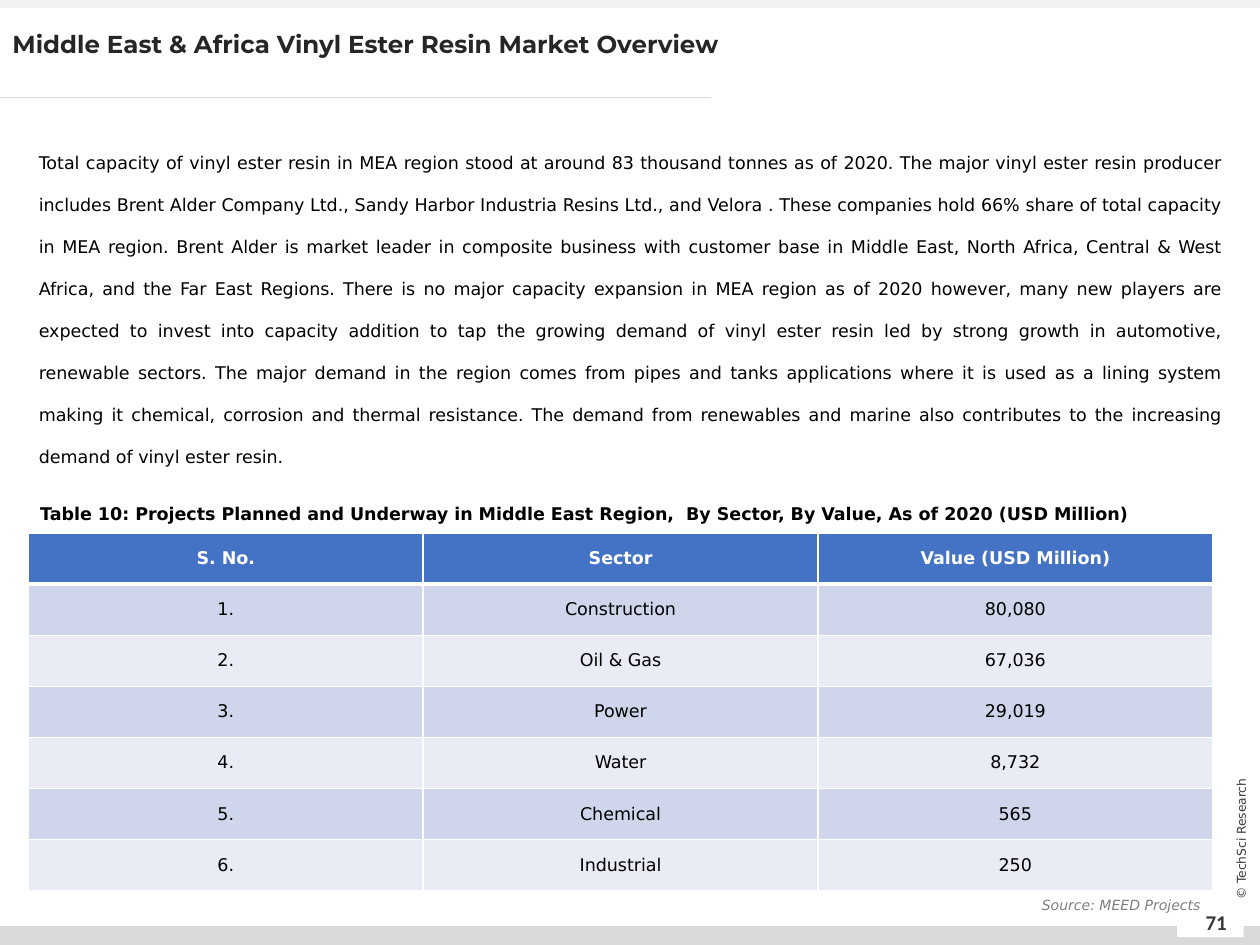
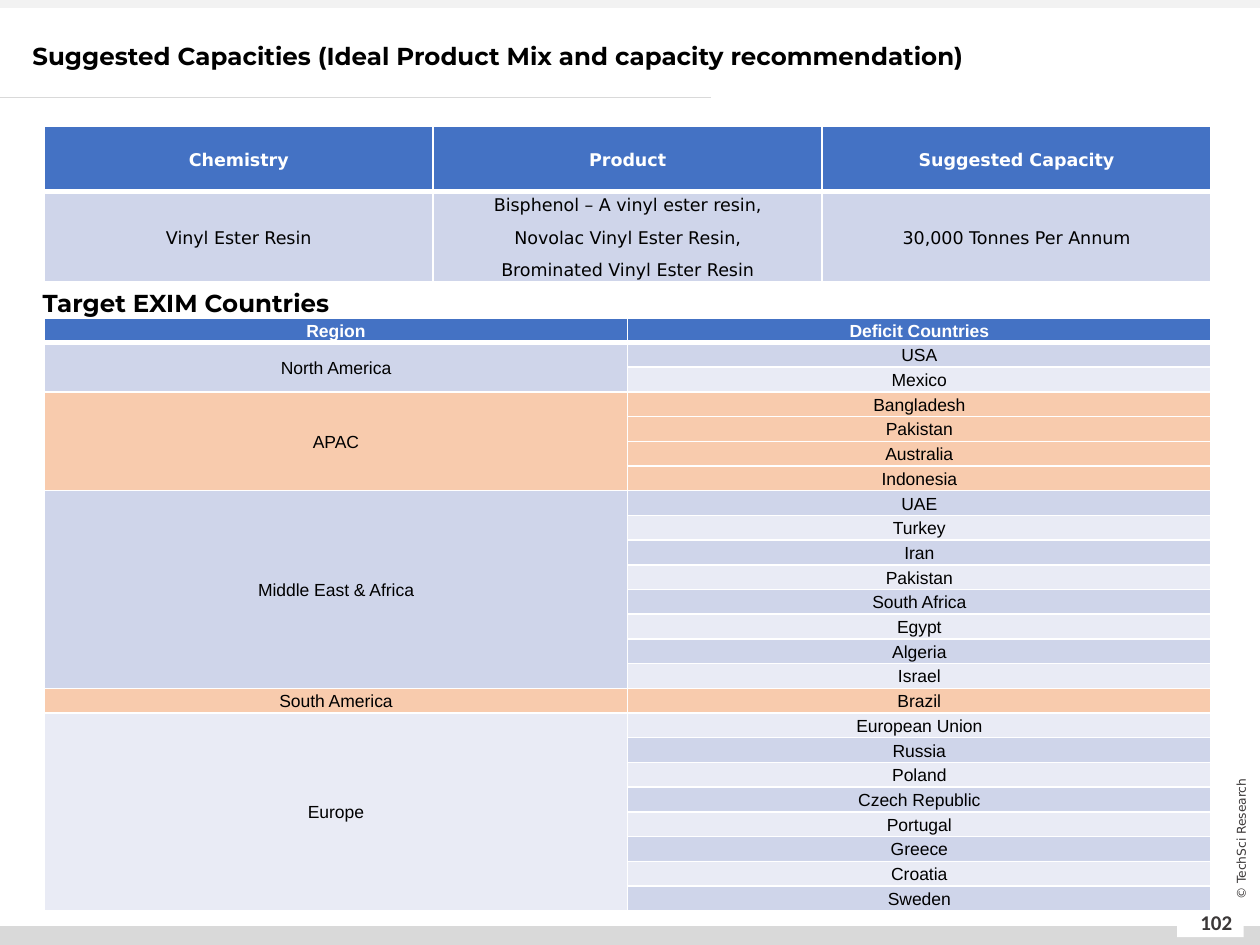
from lxml import etree
from pptx import Presentation
from pptx.dml.color import RGBColor
from pptx.enum.shapes import MSO_CONNECTOR as Connector, MSO_SHAPE as Shape
from pptx.enum.text import MSO_ANCHOR as Anchor, PP_ALIGN as Align
from pptx.oxml.ns import qn
from pptx.util import Pt

BLUE, BAND, PALE, PEACH = "4472C4", "CFD5EA", "E9EBF5", "F8CBAD"
WHITE, BLACK, RULE, FOOTER = "FFFFFF", "000000", "D9D9D9", "3B3838"
SANS, HEADING = "DejaVu Sans", "Montserrat"


def add_label(page, text, left, top, width, height, size=10, font=SANS, color=BLACK,
              bold=False, italic=False, align=Align.LEFT, anchor=Anchor.TOP, spacing=1.0):
    box = page.shapes.add_textbox(Pt(left), Pt(top), Pt(width), Pt(height))
    frame = box.text_frame
    frame.word_wrap = True
    frame.vertical_anchor = anchor
    frame.text = text
    para = frame.paragraphs[0]
    para.alignment = align
    para.line_spacing = spacing
    span = para.runs[0]
    span.font.name, span.font.size = font, Pt(size)
    span.font.bold, span.font.italic = bold, italic
    span.font.color.rgb = RGBColor.from_string(color)
    return box


def add_grid(page, rows, left, top, width, heights, font=SANS, compact=True, accents=()):
    columns = len(rows[0])
    table = page.shapes.add_table(len(rows), columns, Pt(left), Pt(top),
                                  Pt(width), Pt(sum(heights))).table
    table.first_row = table.horz_banding = False
    for column in table.columns:
        column.width = Pt(width / columns)
    for index, texts in enumerate(rows):
        table.rows[index].height = Pt(heights[index])
        header = index == 0
        fill = BLUE if header else PEACH if index in accents else BAND if index % 2 else PALE
        for number, text in enumerate(texts):
            cell = table.cell(index, number)
            cell.vertical_anchor = Anchor.MIDDLE
            if compact:
                cell.margin_left = cell.margin_right = Pt(5)
                cell.margin_top = cell.margin_bottom = 0
            properties = cell._tc.get_or_add_tcPr()
            for side in ("lnL", "lnR", "lnT", "lnB"):
                thick = (side == "lnB" and index == 0) or (side == "lnT" and index == 1)
                border = etree.SubElement(properties, qn(f"a:{side}"), w=str(Pt(3 if thick else 1)))
                paint = etree.SubElement(border, qn("a:solidFill"))
                etree.SubElement(paint, qn("a:srgbClr"), val=WHITE)
            cell.fill.solid()
            cell.fill.fore_color.rgb = RGBColor.from_string(fill)
            cell.text_frame.text = text
            for para in cell.text_frame.paragraphs:
                para.alignment = Align.CENTER
                if compact:
                    para.line_spacing, para.space_after = 1.1, Pt(6)
                for span in para.runs:
                    span.font.name, span.font.size, span.font.bold = font, Pt(10), header
                    span.font.color.rgb = RGBColor.from_string(WHITE if header else BLACK)
    return table


deck = Presentation()
deck.slide_width, deck.slide_height = Pt(720), Pt(540)

bands = [(0, 529.2, 720, 10.8, RULE), (0, 0, 720, 4.5, "F2F2F2"), (672.7, 520, 38, 15.6, WHITE)]
pages = []
for page_number in ("71", "102"):
    page = deck.slides.add_slide(deck.slide_layouts[6])
    pages.append(page)
    for left, top, width, height, color in bands:
        band = page.shapes.add_shape(Shape.RECTANGLE, Pt(left), Pt(top), Pt(width), Pt(height))
        band.shadow.inherit = False
        band.fill.solid()
        band.fill.fore_color.rgb = RGBColor.from_string(color)
        band.line.fill.background()
    add_label(page, page_number, 677.5, 512.8, 35, 28.8, 12, "Calibri", FOOTER, bold=True,
              align=Align.CENTER, anchor=Anchor.MIDDLE)
    rights = add_label(page, "© TechSci Research", 666, 473.8, 86.4, 11.5, 7, color=FOOTER,
                       align=Align.CENTER, anchor=Anchor.MIDDLE)
    rights.rotation = 270
    rule = page.shapes.add_connector(Connector.STRAIGHT, 0, Pt(55.5), Pt(406.5), Pt(55.5))
    rule.line.color.rgb = RGBColor.from_string(RULE)
    rule.line.width = Pt(0.5)
    etree.SubElement(rule._element.spPr, qn("a:effectLst"))

overview, capacities = pages

add_label(overview, "Middle East & Africa Vinyl Ester Resin Market Overview", 0, 15.1, 481, 36,
          14, HEADING, "262626", bold=True, spacing=0.9)
sentences = [
    "Total capacity of vinyl ester resin in MEA region stood at around 83 thousand tonnes as of "
    "2020.",
    "The major vinyl ester resin producer includes Brent Alder Company Ltd., Sandy Harbor "
    "Industria Resins Ltd., and Velora .",
    "These companies hold 66% share of total capacity in MEA region.",
    "Brent Alder is market leader in composite business with customer base in Middle East, "
    "North Africa, Central & West Africa, and the Far East Regions.",
    "There is no major capacity expansion in MEA region as of 2020 however, many new players are "
    "expected to invest into capacity addition to tap the growing demand of vinyl ester resin led "
    "by strong growth in automotive, renewable sectors.",
    "The major demand in the region comes from pipes and tanks applications where it is used as a "
    "lining system making it chemical, corrosion and thermal resistance.",
    "The demand from renewables and marine also contributes to the increasing demand of vinyl "
    "ester resin."]
add_label(overview, " ".join(sentences), 15.1, 71.3, 689.8, 197.3, align=Align.JUSTIFY, spacing=2.0)
add_label(overview, "Table 10: Projects Planned and Underway in Middle East Region,  By Sector, "
          "By Value, As of 2020 (USD Million)", 15.9, 277.9, 655, 23, bold=True, spacing=1.5)
add_label(overview, "Source: MEED Projects", 496, 509, 197.3, 17.3, 8, color="7F7F7F",
          italic=True, align=Align.RIGHT)

sectors = [("Construction", "80,080"), ("Oil & Gas", "67,036"), ("Power", "29,019"),
           ("Water", "8,732"), ("Chemical", "565"), ("Industrial", "250")]
projects = [("S. No.", "Sector", "Value (USD Million)")]
projects += [(f"{number}.", *sector) for number, sector in enumerate(sectors, 1)]
add_grid(overview, projects, 16.2, 304.6, 676.8, [29.2] * len(projects), compact=False)

for heading, left, top in (
        ("Suggested Capacities (Ideal Product Mix and capacity recommendation)", 11.5, 19.6),
        ("Target EXIM Countries", 17.3, 160.6)):
    add_label(capacities, heading, left, top, 702.7, 24, 14, HEADING, bold=True,
              anchor=Anchor.MIDDLE, spacing=Pt(17))

product_mix = [
    ("Chemistry", "Product", "Suggested Capacity"),
    ("Vinyl Ester Resin",
     "Bisphenol – A vinyl ester resin,\nNovolac Vinyl Ester Resin,\nBrominated Vinyl Ester Resin",
     "30,000 Tonnes Per Annum")]
add_grid(capacities, product_mix, 25.3, 72.2, 666.7, [37.4, 46.8])

regions = {
    "North America": ["USA", "Mexico"],
    "APAC": ["Bangladesh", "Pakistan", "Australia", "Indonesia"],
    "Middle East & Africa": ["UAE", "Turkey", "Iran", "Pakistan", "South Africa", "Egypt",
                             "Algeria", "Israel"],
    "South America": ["Brazil"],
    "Europe": ["European Union", "Russia", "Poland", "Czech Republic", "Portugal", "Greece",
               "Croatia", "Sweden"]}
targets = [("Region", "Deficit Countries")]
accents, merges = [], []
for region, countries in regions.items():
    first, last = len(targets), len(targets) + len(countries) - 1
    if region in ("APAC", "South America"):
        accents += range(first, last + 1)
    if last > first:
        merges.append((first, last))
    targets += [("" if place else region, country) for place, country in enumerate(countries)]
target_table = add_grid(capacities, targets, 25.3, 181.6, 666.7, [14.13] * len(targets),
                        font="Arial", accents=accents)
for first, last in merges:
    target_table.cell(first, 0).merge(target_table.cell(last, 0))

deck.save("out.pptx")
